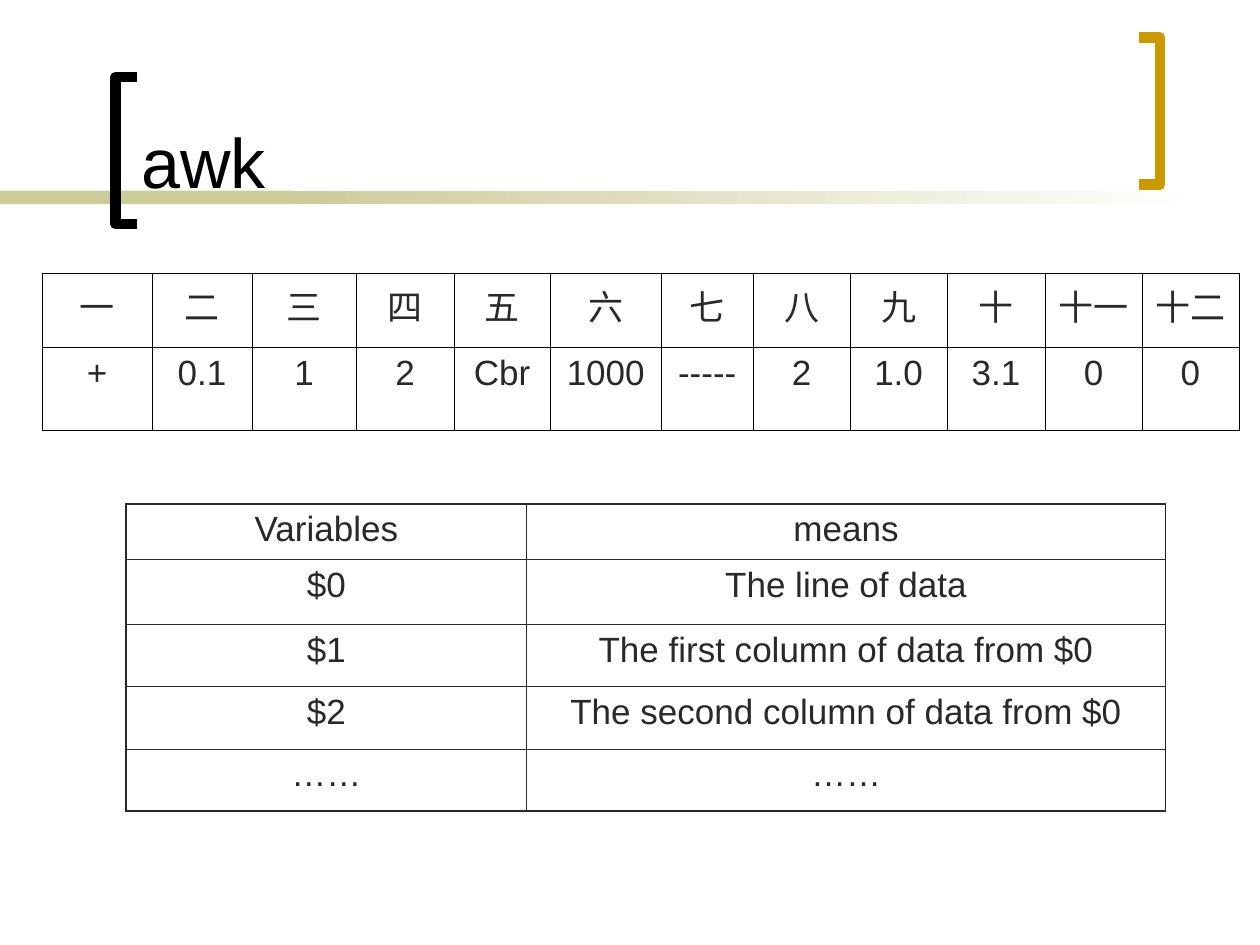
from lxml.etree import SubElement
from pptx import Presentation
from pptx.dml.color import RGBColor
from pptx.enum.shapes import MSO_SHAPE as Preset
from pptx.enum.text import MSO_ANCHOR as Anchor, MSO_AUTO_SIZE as AutoSize, PP_ALIGN as Align
from pptx.oxml.ns import qn
from pptx.util import Pt

FONT = "Arial"
BLACK, INK, GOLD, SAND, WHITE = "000000", "292929", "CC9900", "CCCC99", "FFFFFF"
THIN, THICK = 0.45, 1.08


def color(value):
    """Turn a hex string into a colour."""
    return RGBColor.from_string(value)


def add_run(paragraph, text, size, ink):
    """Add one formatted run."""
    run = paragraph.add_run()
    run.text = text
    run.font.name = FONT
    run.font.size = Pt(size)
    run.font.color.rgb = color(ink)


def add_band(slide, left, top, width, height, fade=False):
    """Draw a sand band, fading to white on the right if asked."""
    band = slide.shapes.add_shape(Preset.RECTANGLE, Pt(left), Pt(top), Pt(width), Pt(height))
    band.shadow.inherit = False
    band.line.fill.background()
    if fade:
        band.fill.gradient()
        band.fill.gradient_angle = 0
        for stop, ink in zip(band.fill.gradient_stops, (SAND, WHITE)):
            stop.color.rgb = color(ink)
    else:
        band.fill.solid()
        band.fill.fore_color.rgb = color(SAND)


def add_bracket(slide, spine, top, height, arm, ink):
    """Draw a square bracket; the sign of arm tells which way it opens."""
    tip, bottom = spine + arm, top + height
    builder = slide.shapes.build_freeform(Pt(tip), Pt(top))
    corners = [(spine, top), (spine, bottom), (tip, bottom)]
    builder.add_line_segments([(Pt(x), Pt(y)) for x, y in corners], close=False)
    bracket = builder.convert_to_shape()
    bracket.shadow.inherit = False
    bracket.fill.background()
    bracket.line.color.rgb = color(ink)
    bracket.line.width = Pt(6)


def add_header(slide, text, left, top, width, height):
    """Place the title with its band and brackets."""
    band_top, split = top + 101, 168
    add_band(slide, 0, band_top, split, 7.7)
    add_band(slide, split, band_top, 516, 7.7, fade=True)
    add_bracket(slide, left - 7.4, top + 36, 84, 12, BLACK)
    add_bracket(slide, left + width + 25.5, top + 13.5, 84, -12, GOLD)

    title = slide.shapes.title
    title.left, title.top, title.width, title.height = map(Pt, (left, top, width, height))
    title.element.getparent().append(title.element)
    frame = title.text_frame
    frame.auto_size = AutoSize.NONE
    frame.vertical_anchor = Anchor.BOTTOM
    frame.paragraphs[0].alignment = Align.LEFT
    add_run(frame.paragraphs[0], text, 40, BLACK)


def set_borders(cell, ink, widths):
    """Give a cell its left, right, top and bottom lines."""
    properties = cell._tc.get_or_add_tcPr()
    for side, width in zip("LRTB", widths):
        line = SubElement(properties, qn(f"a:ln{side}"), w=str(Pt(width)))
        fill = SubElement(line, qn("a:solidFill"))
        SubElement(fill, qn("a:srgbClr"), val=ink)


def add_grid(slide, left, top, columns, heights, rows, border, outer=THIN, space=0):
    """Build a centred table with thin inner and chosen outer lines."""
    frame = slide.shapes.add_table(len(heights), len(columns), Pt(left), Pt(top),
                                   Pt(sum(columns)), Pt(sum(heights)))
    table = frame.table
    table.first_row = table.horz_banding = False
    for column, width in zip(table.columns, columns):
        column.width = Pt(width)
    last_row, last_column = len(heights) - 1, len(columns) - 1
    for r, (height, texts) in enumerate(zip(heights, rows)):
        table.rows[r].height = Pt(height)
        for c, text in enumerate(texts):
            cell = table.cell(r, c)
            edges = (c == 0, c == last_column, r == 0, r == last_row)
            set_borders(cell, border, [outer if edge else THIN for edge in edges])
            cell.fill.background()
            paragraph = cell.text_frame.paragraphs[0]
            paragraph.alignment = Align.CENTER
            paragraph.space_before = Pt(space)
            add_run(paragraph, text, 20, INK)


def build_awk_slide(presentation):
    """Build the slide on awk fields and variables."""
    slide = presentation.slides.add_slide(presentation.slide_layouts[5])
    add_header(slide, "awk", 73.5, 8, 564, 111.5)
    fields = [
        ["一", "二", "三", "四", "五", "六", "七", "八", "九", "十", "十一", "十二"],
        ["+", "0.1", "1", "2", "Cbr", "1000", "-----", "2", "1.0", "3.1", "0", "0"],
    ]
    field_widths = [63, 57, 59.5, 56, 55, 63.4, 52.6, 55.4, 55.4, 56, 55.4, 55.4]
    add_grid(slide, 24, 156, field_widths, [42.4, 47.5], fields, BLACK)
    variables = [
        ["Variables", "means"],
        ["$0", "The line of data"],
        ["$1", "The first column of data from $0"],
        ["$2", "The second column of data from $0"],
        ["……", "……"],
    ]
    add_grid(slide, 72, 288, [229, 365], [31.5, 37.3, 35.6, 35.6, 35.6], variables,
             INK, outer=THICK, space=5)


presentation = Presentation()
presentation.slide_width, presentation.slide_height = Pt(720), Pt(540)
build_awk_slide(presentation)
presentation.save("out.pptx")
